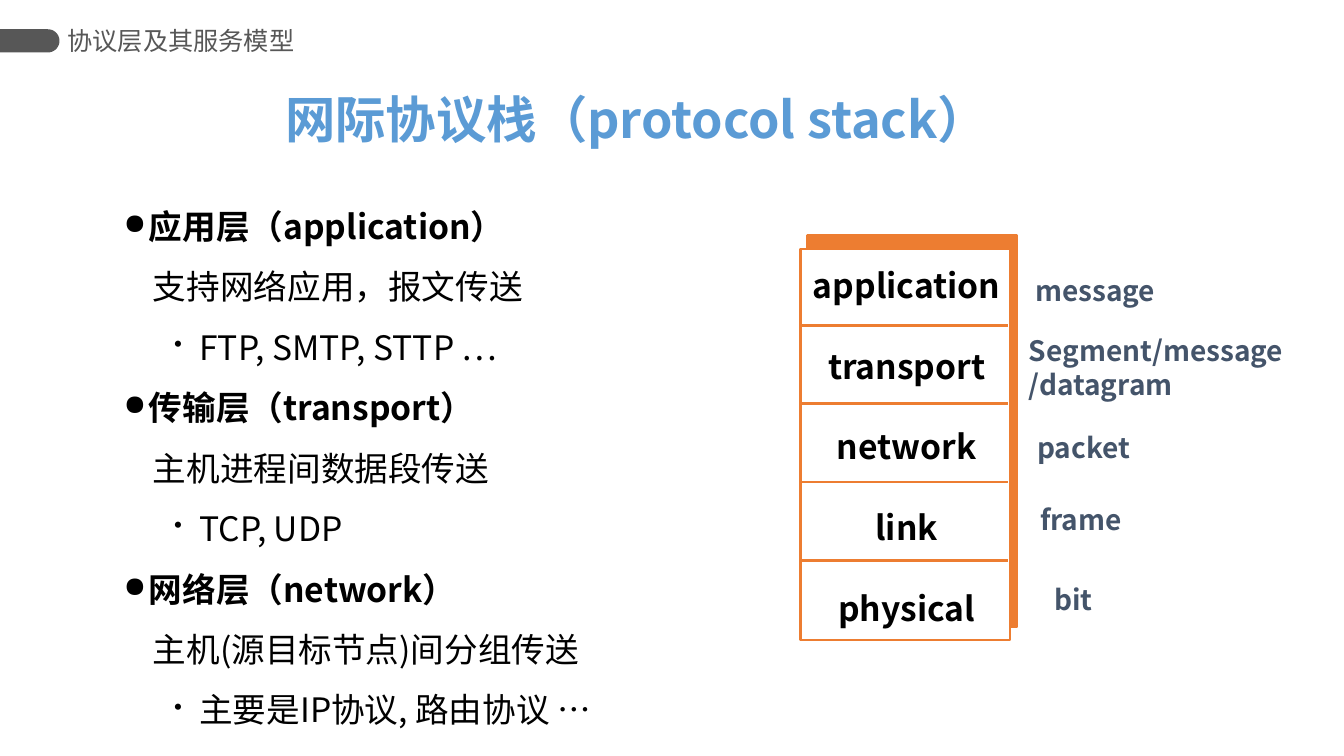
"""Builds a slide on the layers of the internet protocol stack."""
import math

from lxml import etree
from pptx import Presentation
from pptx.dml.color import RGBColor
from pptx.enum.shapes import MSO_CONNECTOR, MSO_SHAPE
from pptx.enum.text import MSO_ANCHOR, MSO_AUTO_SIZE, PP_ALIGN
from pptx.oxml.ns import qn
from pptx.util import Inches, Pt

WIDTH, HEIGHT = Inches(13.33), Inches(7.5)
FONT = "Noto Sans CJK SC"
BLACK = RGBColor(0x00, 0x00, 0x00)
WHITE = RGBColor(0xFF, 0xFF, 0xFF)
GREY = RGBColor(0x57, 0x57, 0x57)
BLUE = RGBColor(0x5B, 0x9B, 0xD5)
ORANGE = RGBColor(0xED, 0x7D, 0x31)
SLATE = RGBColor(0x44, 0x54, 0x6A)
RECTANGLE, STRAIGHT = MSO_SHAPE.RECTANGLE, MSO_CONNECTOR.STRAIGHT
TOP, MIDDLE = MSO_ANCHOR.TOP, MSO_ANCHOR.MIDDLE
LEFT, CENTER = PP_ALIGN.LEFT, PP_ALIGN.CENTER
GROW = MSO_AUTO_SIZE.SHAPE_TO_FIT_TEXT

LAYERS = ["application", "transport", "network", "link", "physical"]
DETAILS = [
    ("应用层（application）", "支持网络应用，报文传送", "FTP, SMTP, STTP …"),
    ("传输层（transport）", "主机进程间数据段传送", "TCP, UDP"),
    ("网络层（network）", "主机(源目标节点)间分组传送", "主要是IP协议, 路由协议 …"),
]
DETAIL_STYLES = [
    (0, 0.25, -0.25, "●", 85, True),
    (0, 0.29, 0, None, None, False),
    (1, 0.75, -0.25, "•", 70, False),
]
UNITS = [
    ("message", 76.27, 35.47, 10.73, 5.87),
    ("Segment/message\n/datagram", 75.82, 43.47, 21.15, 10.27),
    ("packet", 76.43, 56.27, 8.55, 5.87),
    ("frame", 76.65, 65.87, 7.8, 5.87),
    ("bit", 77.7, 76.4, 4.43, 5.87),
]
STACK_LEFT, STACK_TOP, STACK_WIDTH, STACK_HEIGHT = 59.55, 32.93, 15.6, 51.73


def across(percent):
    """Turn a percentage of the slide's width into a length."""
    return round(WIDTH * percent / 100)


def down(percent):
    """Turn a percentage of the slide's height into a length."""
    return round(HEIGHT * percent / 100)


def area(left, top, width, height):
    """Turn four percentages into a position and a size."""
    return across(left), down(top), across(width), down(height)


def style(para, size, color, bold):
    """Format every run of a paragraph."""
    for span in para.runs:
        span.font.size = Pt(size)
        span.font.bold = bold
        span.font.color.rgb = color
        span.font.name = FONT
        east_asian = etree.SubElement(span.font._element, qn("a:ea"))
        east_asian.set("typeface", FONT)


def indent(para, left, first=0, bullet=None, percent=None):
    """Set a paragraph's indents and its bullet."""
    properties = para._p.get_or_add_pPr()
    properties.set("marL", str(Inches(left)))
    properties.set("indent", str(Inches(first)))
    if bullet:
        size = etree.SubElement(properties, qn("a:buSzPct"))
        size.set("val", str(percent * 1000))
        etree.SubElement(properties, qn("a:buChar")).set("char", bullet)
    else:
        etree.SubElement(properties, qn("a:buNone"))


def add_text(page, place, text, size, color, bold=True, wrap=True,
             anchor=TOP, align=LEFT):
    """Add a text box with one paragraph per line of text."""
    box = page.shapes.add_textbox(*area(*place))
    frame = box.text_frame
    frame.text = text
    frame.word_wrap = wrap
    frame.vertical_anchor = anchor
    if not wrap:
        frame.auto_size = GROW
    for para in frame.paragraphs:
        para.alignment = align
        style(para, size, color, bold)
    return frame


def add_tab(page, width, top, height):
    """Add the bar at the left edge with its rounded right end."""
    radius = down(height) / 2
    center_x, center_y = across(width) - radius, down(top) + radius
    angles = [math.radians(degrees) for degrees in range(-90, 91, 10)]
    curve = [(round(center_x + radius * math.cos(angle)),
              round(center_y + radius * math.sin(angle))) for angle in angles]
    builder = page.shapes.build_freeform(0, down(top))
    builder.add_line_segments(curve + [(0, down(top + height))], close=True)
    tab = builder.convert_to_shape()
    tab.shadow.inherit = False
    tab.fill.solid()
    tab.fill.fore_color.rgb = GREY
    tab.line.fill.background()


def add_panel(page, place, fill):
    """Add an orange-edged rectangle."""
    panel = page.shapes.add_shape(RECTANGLE, *area(*place))
    panel.shadow.inherit = False
    panel.fill.solid()
    panel.fill.fore_color.rgb = fill
    panel.line.color.rgb = ORANGE
    panel.line.width = Pt(2)


def add_separator(page, left, right, top):
    """Add a level line between two layers."""
    line = page.shapes.add_connector(
        STRAIGHT, across(left), down(top), across(right), down(top))
    line.line.color.rgb = ORANGE
    line.line.width = Pt(2)
    etree.SubElement(line._element.spPr, qn("a:effectLst"))


def add_details(page):
    """Add the list that explains the upper three layers."""
    text = "\n".join(line for detail in DETAILS for line in detail)
    frame = add_text(page, (8.47, 23.87, 59.4, 67.2), text, 24, BLACK)
    for index, para in enumerate(frame.paragraphs):
        level, left, first, bullet, percent, bold = DETAIL_STYLES[index % 3]
        para.level = level
        para.line_spacing = 1.5
        indent(para, left, first, bullet, percent)
        for span in para.runs:
            span.font.bold = bold


def add_stack(page):
    """Add the stack of layers with its separators."""
    add_panel(page, (60.07, 31.2, STACK_WIDTH, STACK_HEIGHT), ORANGE)
    add_panel(page, (STACK_LEFT, STACK_TOP, STACK_WIDTH, STACK_HEIGHT), WHITE)
    frame = add_text(page, (59.62, 34.4, 15.68, 49.87), "\n".join(LAYERS),
                     24, BLACK, wrap=False, align=CENTER)
    for para in frame.paragraphs[1:]:
        para.space_before = Pt(28.8)
    for index in range(len(LAYERS) - 1):
        top = 43.07 + index * STACK_HEIGHT / len(LAYERS)
        add_separator(page, STACK_LEFT, 75, top)


def main():
    """Build and save the slide."""
    deck = Presentation()
    deck.slide_width, deck.slide_height = WIDTH, HEIGHT
    page = deck.slides.add_slide(deck.slide_layouts[6])
    add_tab(page, 4.43, 3.87, 3.07)
    title = add_text(page, (8.47, 11.87, 74.63, 8.67),
                     "网际协议栈（protocol stack）", 36, BLUE, anchor=MIDDLE)
    title.paragraphs[0].line_spacing = 0.9
    indent(title.paragraphs[0], 1.6)
    add_details(page)
    add_stack(page)
    for text, *place in UNITS:
        add_text(page, place, text, 20, SLATE, wrap=False)
    header = add_text(page, (5.02, 2.53, 17.48, 5.6), "协议层及其服务模型",
                      18, GREY, bold=False, anchor=MIDDLE)
    header.margin_left = header.margin_right = 0
    deck.save("out.pptx")


if __name__ == "__main__":
    main()
